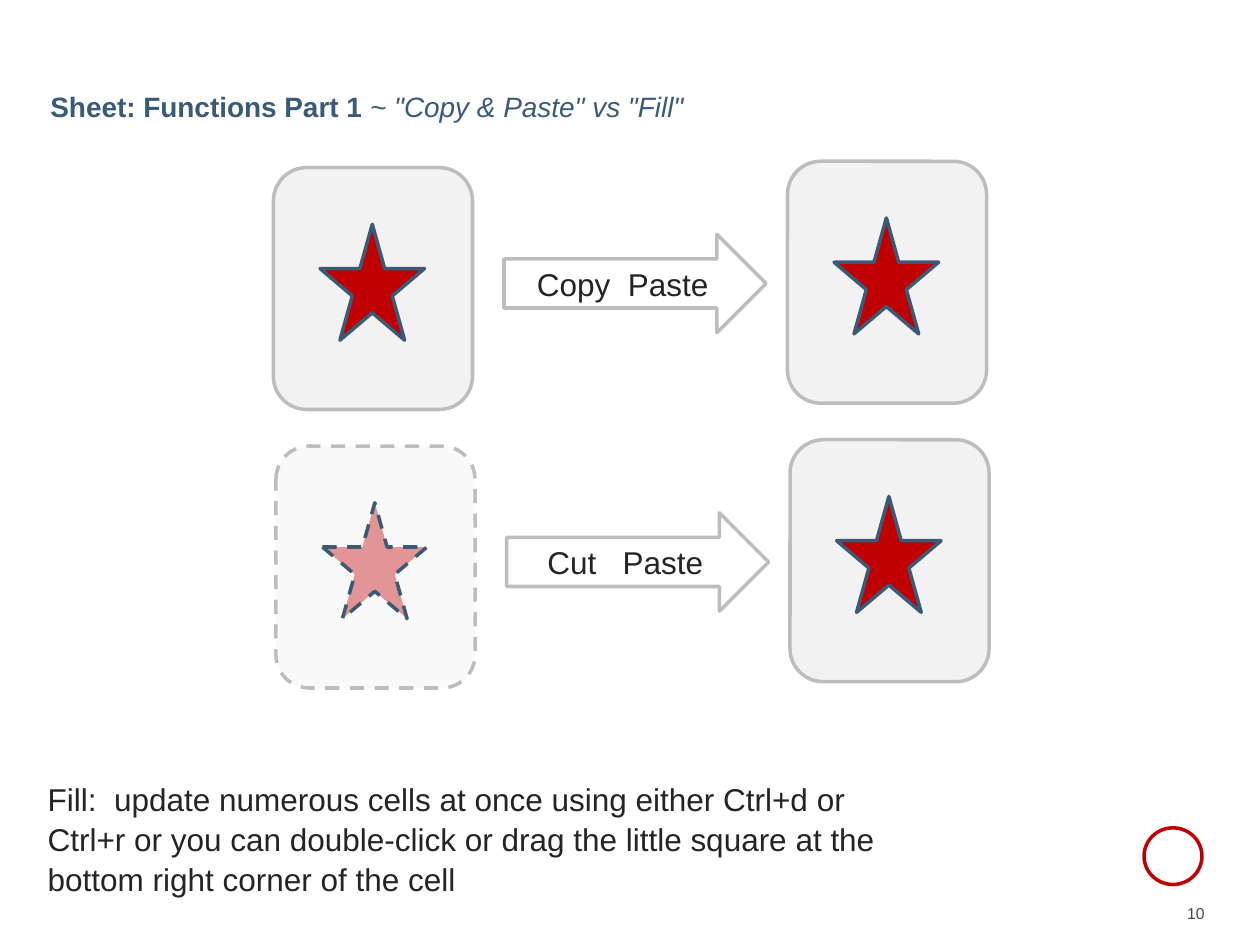
"""Build a slide contrasting copy, cut and fill in a spreadsheet."""
import pptx
import pptx.dml.color
import pptx.enum.dml
import pptx.enum.shapes
import pptx.enum.text
import pptx.oxml.ns
import pptx.util
from lxml import etree

Inches = pptx.util.Inches
Pt = pptx.util.Pt
RGBColor = pptx.dml.color.RGBColor
MSO_SHAPE = pptx.enum.shapes.MSO_SHAPE
PP_ALIGN = pptx.enum.text.PP_ALIGN
MSO_ANCHOR = pptx.enum.text.MSO_ANCHOR

NAVY = RGBColor(0x3A, 0x5A, 0x78)
RED = RGBColor(0xC0, 0x00, 0x00)
CARD_GREY = RGBColor(0xF2, 0xF2, 0xF2)
BORDER_GREY = RGBColor(0xBD, 0xBD, 0xBD)
WHITE = RGBColor(0xFF, 0xFF, 0xFF)
INK = RGBColor(0x24, 0x24, 0x24)
NUMBER_GREY = RGBColor(0x48, 0x48, 0x48)


def add_outlined(kind, left, top, width, height, fill, border, ghost=False):
    shape = slide.shapes.add_shape(kind, Inches(left), Inches(top), Inches(width), Inches(height))
    shape.shadow.inherit = False
    shape.line.color.rgb = border
    shape.line.width = Pt(2)
    if fill is None:
        shape.fill.background()
    else:
        shape.fill.solid()
        shape.fill.fore_color.rgb = fill
    if ghost:
        shape.line.dash_style = pptx.enum.dml.MSO_LINE.DASH
        fill_color = shape.fill._xPr.find(".//" + pptx.oxml.ns.qn("a:srgbClr"))
        etree.SubElement(fill_color, pptx.oxml.ns.qn("a:alpha"), val="40000")
    return shape


def write_text(paragraph, words, size, color, gap=0):
    first, space, rest = words.partition(" ")
    for part in filter(None, (first, space, rest)):
        run = paragraph.add_run()
        run.text = part
        if part == " " and gap:
            run._r.get_or_add_rPr().set("spc", str(gap * 100))
    paragraph.font.name = "Arial"
    paragraph.font.size = Pt(size)
    paragraph.font.color.rgb = color


deck = pptx.Presentation()
deck.slide_width = Inches(10)
deck.slide_height = Inches(7.5)
slide = deck.slides.add_slide(deck.slide_layouts[5])

title = slide.shapes.title
title.left, title.top = Inches(0.3), Inches(0.38)
title.width, title.height = Inches(7.87), Inches(0.9)
title.text_frame.vertical_anchor = MSO_ANCHOR.BOTTOM
title.text_frame.margin_bottom = Inches(0.3)
heading = title.text_frame.paragraphs[0]
heading.alignment = PP_ALIGN.LEFT
heading.font.name = "Arial"
heading.font.size = Pt(16)
heading.font.color.rgb = NAVY
for words, is_topic in (("Sheet: Functions Part 1 ", True), ('~ "Copy & Paste" vs "Fill"', False)):
    run = heading.add_run()
    run.text = words
    run.font.bold = is_topic
    run.font.italic = not is_topic

for left, top, label, gap, source_removed in (
    (2.17, 1.33, "Copy Paste", 5, False),
    (2.19, 3.54, "Cut Paste", 10, True),
):
    for dx, dy, ghost in ((0, 0, source_removed), (4.08, -0.05, False)):
        x, y = left + dx, top + dy
        add_outlined(MSO_SHAPE.ROUNDED_RECTANGLE, x, y, 1.58, 1.92, CARD_GREY, BORDER_GREY, ghost)
        add_outlined(MSO_SHAPE.STAR_5_POINT, x + 0.37, y + 0.45, 0.83, 0.92, RED, NAVY, ghost)
    arrow = add_outlined(
        MSO_SHAPE.RIGHT_ARROW, left + 1.83, top + 0.53, 2.08, 0.78, WHITE, BORDER_GREY
    )
    arrow.text_frame.vertical_anchor = MSO_ANCHOR.MIDDLE
    action = arrow.text_frame.paragraphs[0]
    action.alignment = PP_ALIGN.CENTER
    write_text(action, label, 18, INK, gap)

fill_note = slide.shapes.add_textbox(Inches(0.28), Inches(6.13), Inches(6.78), Inches(1.01))
fill_note.text_frame.word_wrap = True
explanation = fill_note.text_frame.paragraphs[0]
explanation.line_spacing = 1.05
write_text(
    explanation,
    "Fill: update numerous cells at once using either Ctrl+d or Ctrl+r or you can "
    "double-click or drag the little square at the bottom right corner of the cell",
    18,
    INK,
    5,
)

add_outlined(MSO_SHAPE.OVAL, 9.08, 6.57, 0.46, 0.45, None, RED)

page_number = slide.shapes.add_textbox(Inches(9.2), Inches(7.12), Inches(0.46), Inches(0.35))
page_number.text_frame.word_wrap = True
number = page_number.text_frame.paragraphs[0]
number.alignment = PP_ALIGN.RIGHT
write_text(number, "10", 9, NUMBER_GREY)

deck.save("out.pptx")
